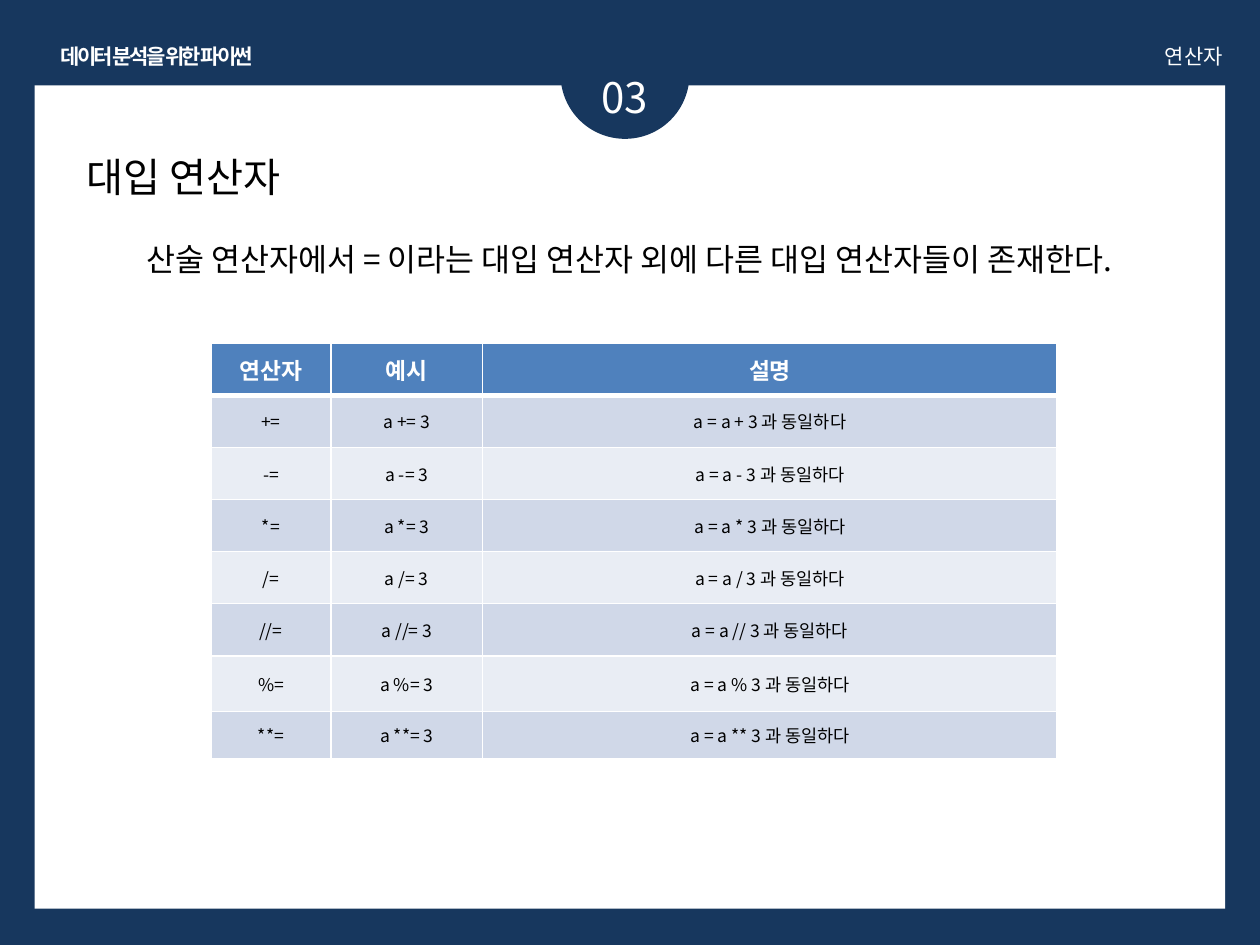
"""Build the slide on Python's assignment operators."""
import dataclasses

import lxml.etree
import pptx
import pptx.dml.color
import pptx.enum.shapes
import pptx.enum.text
import pptx.oxml.ns
import pptx.util

Cm = pptx.util.Cm
Align = pptx.enum.text.PP_ALIGN
Shape = pptx.enum.shapes.MSO_SHAPE
qn = pptx.oxml.ns.qn


@dataclasses.dataclass(frozen=True)
class Theme:
    font: str = "Noto Sans CJK KR"
    navy: str = "17375E"
    white: str = "FFFFFF"
    black: str = "000000"
    header: str = "4F81BD"
    bands: tuple = ("D0D8E8", "E9EDF4")
    number: int = 24
    title: int = 23
    body: int = 18
    table_head: int = 13
    label: int = 12
    table_body: int = 10


theme = Theme()


def paint(fill, color):
    fill.solid()
    fill.fore_color.rgb = pptx.dml.color.RGBColor.from_string(color)


def write(frame, text, size, color, align, bold=False):
    para = frame.paragraphs[0]
    para.text = text
    para.alignment = align
    para.font.size = pptx.util.Pt(size)
    para.font.name = theme.font
    para.font.bold = bold
    paint(para.font.fill, color)
    props = para._p.pPr.find(qn("a:defRPr"))
    lxml.etree.SubElement(props, qn("a:ea"), typeface=theme.font)
    return props


deck = pptx.Presentation()
deck.slide_width, deck.slide_height = Cm(25.4), Cm(19.05)
page = deck.slides.add_slide(deck.slide_layouts[6])
paint(page.background.fill, theme.navy)

for kind, left, top, width, height, color in (
    (Shape.RECTANGLE, 0.7, 1.72, 24, 16.6, theme.white),
    (Shape.OVAL, 11.3, 0.2, 2.6, 2.6, theme.navy),
):
    shape = page.shapes.add_shape(kind, Cm(left), Cm(top), Cm(width), Cm(height))
    shape.shadow.inherit = False
    paint(shape.fill, color)
    shape.line.fill.background()

for text, left, top, width, height, size, color, align in (
    ("03", 11.1, 1.32, 3, 1.27, theme.number, theme.white, Align.CENTER),
    ("연산자", 14.9, 0.76, 10, 0.76, theme.label, theme.white, Align.RIGHT),
    ("산술 연산자에서 = 이라는 대입 연산자 외에 다른 대입 연산자들이 존재한다.",
     2.7, 4.72, 20, 1.8, theme.body, theme.black, Align.LEFT),
    ("대입 연산자", 1.5, 2.95, 22.2, 1.25, theme.title, theme.black, Align.LEFT),
):
    box = page.shapes.add_textbox(Cm(left), Cm(top), Cm(width), Cm(height))
    box.text_frame.word_wrap = True
    box.text_frame.auto_size = pptx.enum.text.MSO_AUTO_SIZE.SHAPE_TO_FIT_TEXT
    write(box.text_frame, text, size, color, align)

course = page.shapes.add_textbox(Cm(0.7), Cm(0.76), Cm(4.93), Cm(0.76))
course.text_frame.word_wrap = False
course.text_frame.auto_size = pptx.enum.text.MSO_AUTO_SIZE.SHAPE_TO_FIT_TEXT
course_props = write(course.text_frame, "데이터 분석을 위한 파이썬",
                     theme.label, theme.white, Align.CENTER, bold=True)
course_props.set("spc", "-150")

operators = ("+", "-", "*", "/", "//", "%", "**")
rows = [("연산자", "예시", "설명")]
rows += [(f"{sign}=", f"a {sign}= 3", f"a = a {sign} 3 과 동일하다") for sign in operators]
column_widths = (2.42, 3.06, 11.58)
row_heights = [1.05] * 6 + [1.12, 0.96]

table = page.shapes.add_table(
    len(rows), len(column_widths), Cm(4.25), Cm(6.92),
    Cm(sum(column_widths)), Cm(sum(row_heights)),
).table
for column, width in zip(table.columns, column_widths):
    column.width = Cm(width)
for row, height in zip(table.rows, row_heights):
    row.height = Cm(height)

for row_index, texts in enumerate(rows):
    heading = row_index == 0
    fill = theme.header if heading else theme.bands[(row_index - 1) % 2]
    size = theme.table_head if heading else theme.table_body
    color = theme.white if heading else theme.black
    for column_index, text in enumerate(texts):
        cell = table.cell(row_index, column_index)
        cell.vertical_anchor = pptx.enum.text.MSO_ANCHOR.MIDDLE
        write(cell.text_frame, text, size, color, Align.CENTER, bold=heading)
        cell_props = cell._tc.get_or_add_tcPr()
        for side in ("L", "R", "T", "B"):
            thick = (heading and side == "B") or (row_index == 1 and side == "T")
            border = lxml.etree.SubElement(
                cell_props, qn(f"a:ln{side}"), w=str(pptx.util.Pt(3 if thick else 1)))
            solid = lxml.etree.SubElement(border, qn("a:solidFill"))
            lxml.etree.SubElement(solid, qn("a:srgbClr"), val=theme.white)
        paint(cell.fill, fill)

deck.save("out.pptx")
